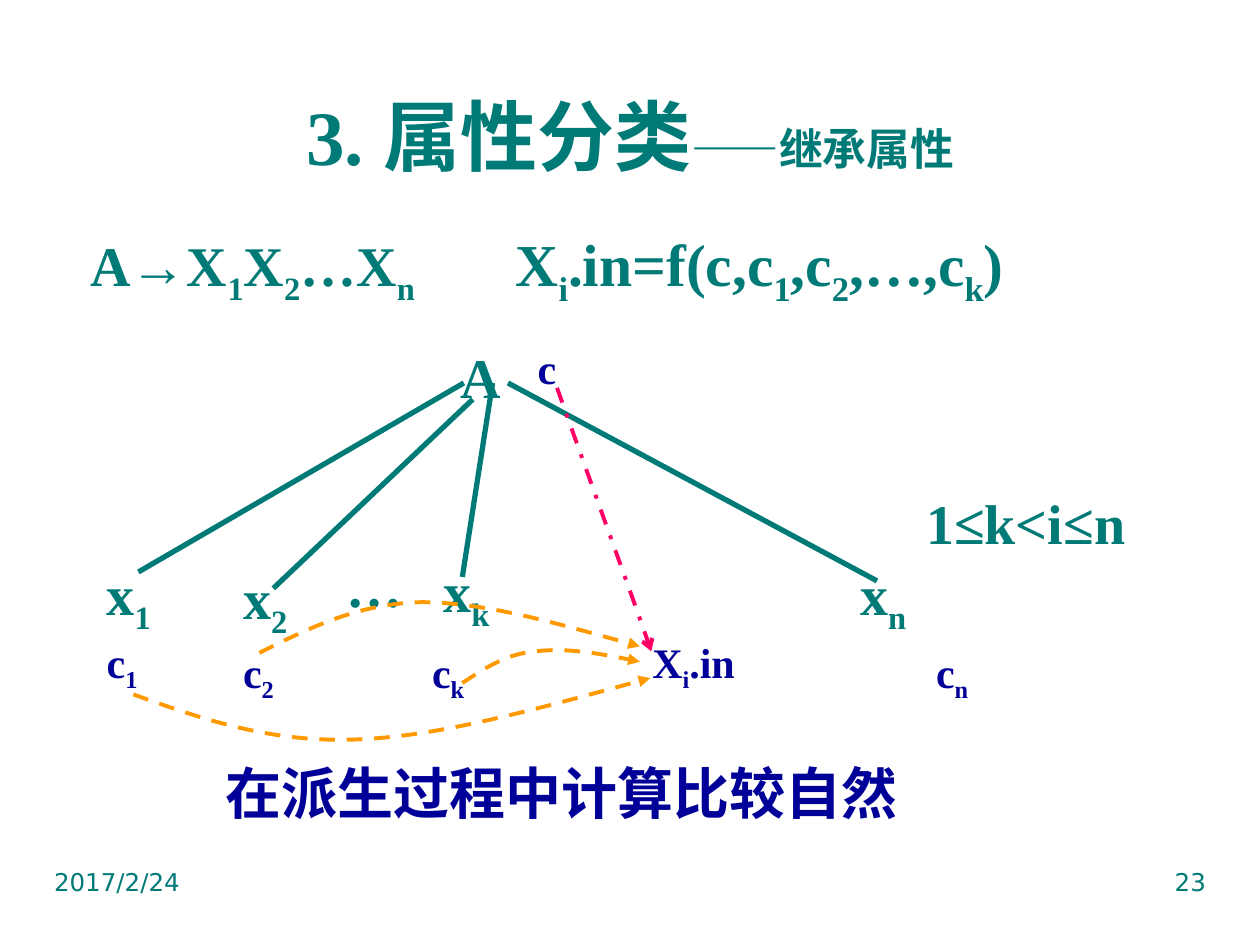
from lxml import etree
from pptx import Presentation
from pptx.dml.color import RGBColor
from pptx.enum.dml import MSO_LINE
from pptx.enum.shapes import MSO_CONNECTOR
from pptx.enum.text import MSO_ANCHOR, MSO_AUTO_SIZE, PP_ALIGN
from pptx.oxml.ns import qn
from pptx.util import Cm, Pt

STRAIGHT = MSO_CONNECTOR.STRAIGHT
DASH, DASH_DOT = MSO_LINE.DASH, MSO_LINE.DASH_DOT
MIDDLE = MSO_ANCHOR.MIDDLE
NO_FIT, GROW = MSO_AUTO_SIZE.NONE, MSO_AUTO_SIZE.SHAPE_TO_FIT_TEXT
LEFT, CENTER, RIGHT = PP_ALIGN.LEFT, PP_ALIGN.CENTER, PP_ALIGN.RIGHT

TEAL, NAVY, ORANGE, PINK = "007A77", "000099", "FF9900", "FF0066"
SERIF, SANS = "Times New Roman", "DejaVu Sans"

NODES = [
    ("A", 9.04, 6.78),
    ("x~1", 1.9, 11.15),
    ("x~2", 4.65, 11.23),
    ("…", 6.73, 11),
    ("x~k", 8.69, 11.1),
    ("x~n", 17.09, 11.15),
]
BRANCHES = [
    ((9.35, 7.72), (2.79, 11.53)),
    ((9.53, 8.05), (5.51, 11.86)),
    ((9.93, 7.72), (9.32, 11.63)),
    ((10.24, 7.72), (17.68, 11.71)),
]
ATTRIBUTES = [
    ("c", 10.59, 6.78, 1.47),
    ("c~1", 1.9, 12.7, 1.7),
    ("c~2", 4.65, 12.9, 1.7),
    ("c~k", 8.46, 12.9, 1.7),
    ("X~i~.in", 12.9, 12.7, 2.54),
    ("c~n", 18.62, 12.9, 1.7),
]
SIBLING_FLOWS = [
    [(9.32, 13.77), (9.75, 13.49), (10.19, 13.18), (10.8, 13.13),
     (11.4, 13.06), (12.14, 13.18), (12.9, 13.34)],
    [(5.23, 13.16), (6.22, 12.67), (7.21, 12.17), (8.48, 12.14),
     (9.78, 12.14), (11.33, 12.6), (12.9, 13.03)],
    [(2.69, 14), (4.04, 14.48), (5.38, 14.96), (7.11, 14.91),
     (8.84, 14.86), (10.97, 14.25), (13.11, 13.67)],
]
PARENT_FLOW = [(11.23, 7.82), (12.01, 10.01), (12.8, 12.17), (13.13, 13.13)]


def color(value):
    return RGBColor.from_string(value)


def add_spans(para, text, size, tint=TEAL, font=SERIF, bold=True):
    for index, part in enumerate(text.split("~")):
        span = para.add_run()
        span.text = part
        span.font.size = Pt(size)
        span.font.name = font
        span.font.bold = bold
        span.font.color.rgb = color(tint)
        if index % 2:
            span.font._element.set("baseline", "-25000")


def place(shape, left, top, width, height):
    shape.left, shape.top = Cm(left), Cm(top)
    shape.width, shape.height = Cm(width), Cm(height)


def fill_title(title):
    place(title, 0.84, 1.12, 23.72, 3.18)
    frame = title.text_frame
    frame.auto_size = NO_FIT
    frame.vertical_anchor = MIDDLE
    para = frame.paragraphs[0]
    para.alignment = CENTER
    add_spans(para, "3. 属性分类", 44)
    add_spans(para, "——继承属性", 25)


def fill_rule(body):
    place(body, 1.57, 4.29, 22.23, 2.18)
    body.text_frame.auto_size = NO_FIT
    para = body.text_frame.paragraphs[0]
    properties = para._p.get_or_add_pPr()
    properties.set("marL", str(Cm(0.95)))
    properties.set("indent", str(-Cm(0.95)))
    properties.set("defTabSz", str(Cm(2.54)))
    etree.SubElement(properties, qn("a:buNone"))
    para.line_spacing = 1.1
    para.space_before = Pt(0)
    add_spans(para, "A→X~1~X~2~…X~n\t", 32)
    add_spans(para, "X~i~.in=f(c,c~1~,c~2~,…,c~k~)", 34)


def add_label(page, text, left, top, width, height, size, tint=TEAL):
    box = page.shapes.add_textbox(Cm(left), Cm(top), Cm(width), Cm(height))
    box.text_frame.word_wrap = True
    box.text_frame.auto_size = GROW
    add_spans(box.text_frame.paragraphs[0], text, size, tint)


def add_footer(page, text, left, alignment):
    box = page.shapes.add_textbox(Cm(left), Cm(17.35), Cm(6.35), Cm(1.32))
    box.text_frame.word_wrap = True
    para = box.text_frame.paragraphs[0]
    para.alignment = alignment
    add_spans(para, text, 14, font=SANS, bold=False)


def add_branch(page, start, end):
    branch = page.shapes.add_connector(
        STRAIGHT, *(Cm(value) for value in start + end))
    branch.line.color.rgb = color(TEAL)
    branch.line.width = Pt(3)
    etree.SubElement(branch._element.spPr, qn("a:effectLst"))


def add_flow(page, points, tint, dash, head):
    start, *controls = [(Cm(x), Cm(y)) for x, y in points]
    builder = page.shapes.build_freeform(*start)
    builder.add_line_segments(controls, close=False)
    flow = builder.convert_to_shape()
    outline = flow._element.find(".//" + qn("a:path"))
    segments = outline.findall(qn("a:lnTo"))
    for index, segment in enumerate(segments):
        if index % 3 == 0:
            curve = etree.SubElement(outline, qn("a:cubicBezTo"))
        curve.append(segment[0])
        outline.remove(segment)
    flow.shadow.inherit = False
    flow.fill.background()
    flow.line.color.rgb = color(tint)
    flow.line.width = Pt(2.25)
    flow.line.dash_style = dash
    etree.SubElement(flow.line._get_or_add_ln(), qn("a:tailEnd"), type=head)


def main():
    deck = Presentation()
    deck.slide_width, deck.slide_height = Cm(25.4), Cm(19.05)
    page = deck.slides.add_slide(deck.slide_layouts[1])
    fill_title(page.shapes.title)
    fill_rule(page.placeholders[1])
    add_footer(page, "2017/2/24", 0.84, LEFT)
    add_footer(page, "23", 18.21, RIGHT)
    for text, left, top in NODES:
        add_label(page, text, left, top, 2.39, 1.6, 32)
    for start, end in BRANCHES:
        add_branch(page, start, end)
    for points in SIBLING_FLOWS:
        add_flow(page, points, ORANGE, DASH, "triangle")
    add_flow(page, PARENT_FLOW, PINK, DASH_DOT, "arrow")
    add_label(page, "1≤k<i≤n", 18.42, 9.73, 6.35, 1.6, 32)
    add_label(page, "在派生过程中计算比较自然", 4.29, 15.16, 14.4, 1.6, 32, NAVY)
    for text, left, top, width in ATTRIBUTES:
        add_label(page, text, left, top, width, 1.27, 24, NAVY)
    deck.save("out.pptx")


if __name__ == "__main__":
    main()
